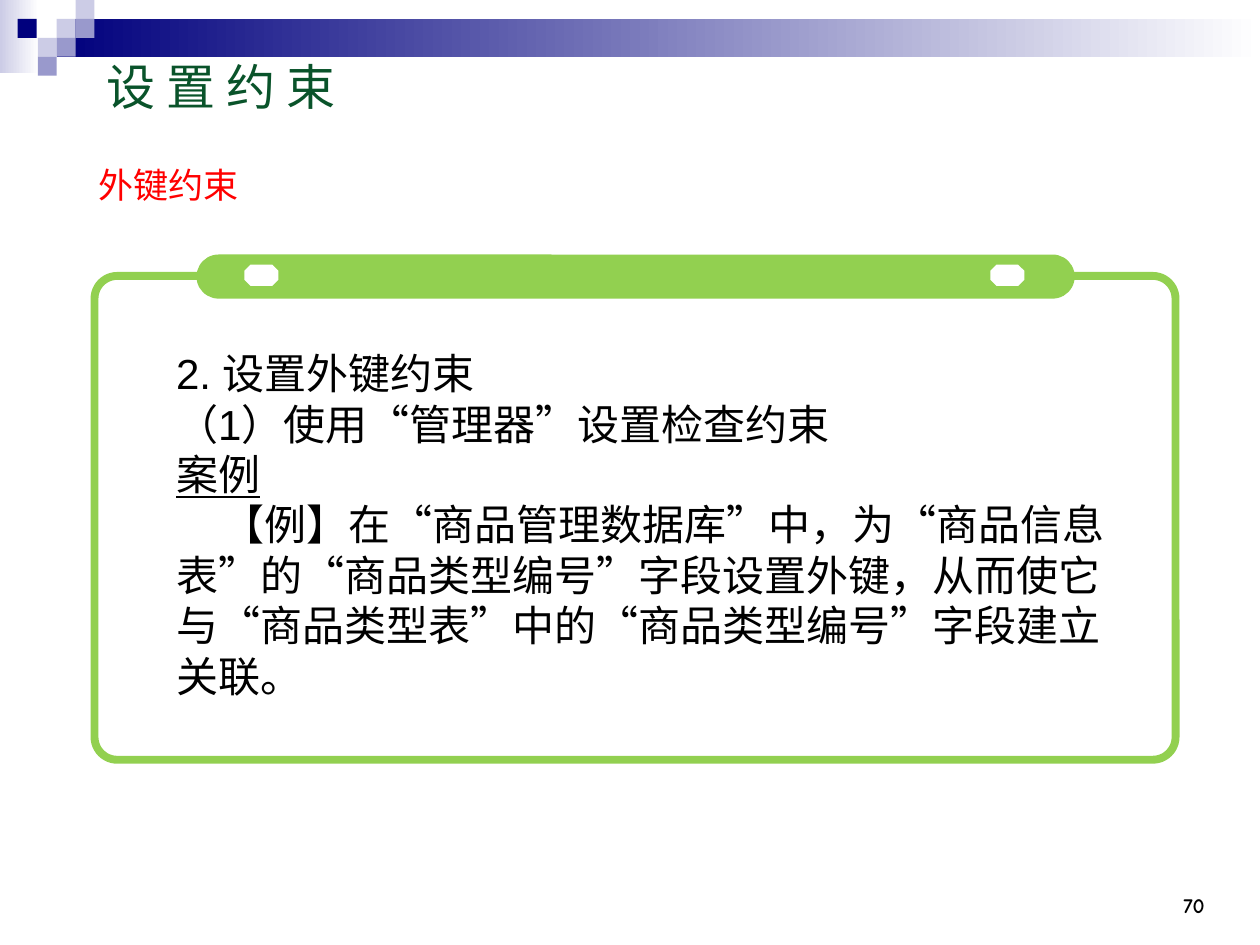
from lxml import etree
from pptx import Presentation
from pptx.dml.color import RGBColor
from pptx.enum.shapes import MSO_SHAPE
from pptx.enum.text import MSO_ANCHOR, PP_ALIGN
from pptx.oxml.ns import qn
from pptx.util import Inches, Pt

RECT, ROUND, OCTAGON = MSO_SHAPE.RECTANGLE, MSO_SHAPE.ROUNDED_RECTANGLE, MSO_SHAPE.OCTAGON
TOP, MIDDLE, BOTTOM = MSO_ANCHOR.TOP, MSO_ANCHOR.MIDDLE, MSO_ANCHOR.BOTTOM
LEFT, RIGHT = PP_ALIGN.LEFT, PP_ALIGN.RIGHT

COLORS = {
    "navy": "00007D", "lilac": "CCCCE6", "violet": "9999CC", "white": "FFFFFF",
    "green": "92D050", "title": "09532A", "red": "FF0000", "black": "000000",
}

# Header bars fading to white: box, start colour
BARS = [((0, 0, 0.31, 0.58), "lilac"), ((0.45, 0.15, 9.55, 0.3), "navy")]

# Mosaic squares: left, top, colour
TILE = 0.15
TILES = [
    (0.45, 0.15, "lilac"), (0.6, 0, "lilac"), (0.6, 0.15, "violet"),
    (0.3, 0.3, "lilac"), (0.14, 0.15, "navy"), (0.45, 0.3, "violet"),
    (0.3, 0.45, "violet"),
]

FRAME = (0.75, 2.19, 8.58, 3.84)
CLIP = (1.56, 2.02, 6.97, 0.35)
HOLE_LEFTS = (1.94, 7.86)

# Box, anchor, alignment, font, paragraphs as (text, extra font values, first-line indent)
TEXTS = [
    ((8.83, 6.83, 0.83, 0.5), BOTTOM, RIGHT, ("Comic Neue", 12, "black"),
     [("70", {"bold": True}, 0)]),
    ((0.75, 0.21, 6.8, 0.95), MIDDLE, LEFT, ("Noto Sans CJK SC", 28, "title"),
     [("设 置 约 束", {}, 0)]),
    ((0.68, 1.25, 2.52, 0.44), TOP, LEFT, ("Arial", 20, "red"),
     [("外键约束", {}, 0)]),
    ((1.3, 2.71, 7.64, 2.9), TOP, LEFT, ("Arial", 24, "black"), [
        ("2. 设置外键约束", {}, 0),
        ("（1）使用“管理器”设置检查约束", {}, 0),
        ("案例", {"underline": True}, 0),
        ("【例】在“商品管理数据库”中，为“商品信息表”的“商品类型编号”字段设置外键，"
         "从而使它与“商品类型表”中的“商品类型编号”字段建立关联。", {}, 0.37),
    ]),
]


def rgb(name):
    return RGBColor.from_string(COLORS[name])


def add_shape(slide, kind, box, fill=None, adj=None):
    sp = slide.shapes.add_shape(kind, *map(Inches, box))
    sp.shadow.inherit = False
    sp.line.fill.background()
    if fill:
        sp.fill.solid()
        sp.fill.fore_color.rgb = rgb(fill)
    else:
        sp.fill.background()
    if adj is not None:
        sp.adjustments[0] = adj
    return sp


def add_bar(slide, box, start):
    fill = add_shape(slide, RECT, box).fill
    fill.gradient()
    fill.gradient_angle = 0
    for stop, color, position in zip(fill.gradient_stops, (start, "white"), (0, 1)):
        stop.color.rgb = rgb(color)
        stop.position = position


def add_text(slide, box, anchor, align, font, paragraphs):
    tf = slide.shapes.add_textbox(*map(Inches, box)).text_frame
    tf.word_wrap = True
    tf.vertical_anchor = anchor
    name, size, color = font
    for i, (text, extra, indent) in enumerate(paragraphs):
        p = tf.paragraphs[0] if i == 0 else tf.add_paragraph()
        p.alignment = align
        if indent:
            pPr = p._p.get_or_add_pPr()
            pPr.set("marL", "0")
            pPr.set("indent", str(Inches(indent)))
        r = p.add_run()
        r.text = text
        for key, value in {"name": name, "size": Pt(size), **extra}.items():
            setattr(r.font, key, value)
        r.font.color.rgb = rgb(color)
        if name.startswith("Noto"):
            etree.SubElement(r.font._element, qn("a:ea")).set("typeface", name)


def main():
    prs = Presentation()
    prs.slide_width, prs.slide_height = Inches(10), Inches(7.5)
    slide = prs.slides.add_slide(prs.slide_layouts[6])

    for box, start in BARS:
        add_bar(slide, box, start)
    for left, top, color in TILES:
        add_shape(slide, RECT, (left, top, TILE, TILE), color)
    for text in TEXTS:
        add_text(slide, *text)

    frame = add_shape(slide, ROUND, FRAME, adj=0.047)
    frame.line.color.rgb = rgb("green")
    frame.line.width = Pt(4.5)
    add_shape(slide, ROUND, CLIP, "green", 0.5)
    for left in HOLE_LEFTS:
        add_shape(slide, OCTAGON, (left, 2.1, 0.27, 0.17), "white", 0.293)

    prs.save("out.pptx")


if __name__ == "__main__":
    main()
